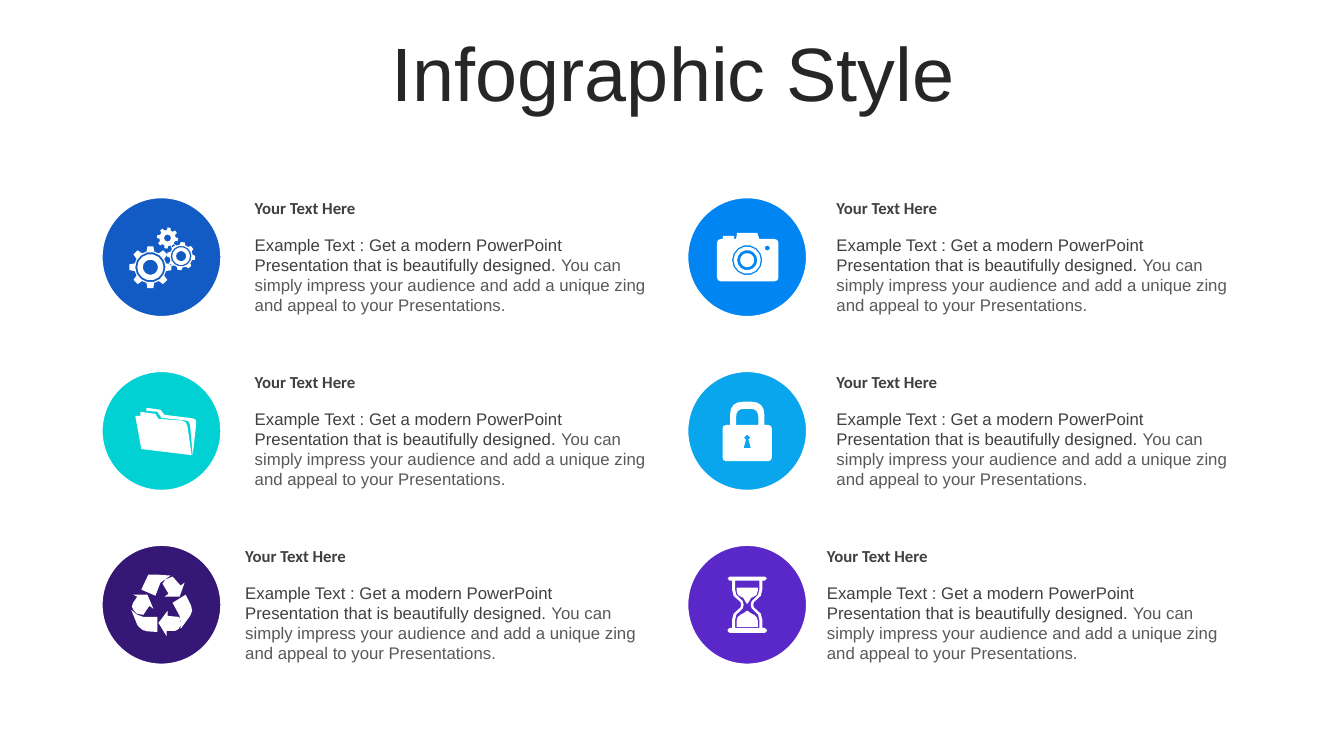
from math import cos, dist, pi, sin

from pptx import Presentation
from pptx import util as u
from pptx.dml.color import RGBColor
from pptx.enum import shapes, text

WHITE = RGBColor(0xFF, 0xFF, 0xFF)
INK = RGBColor(0x26, 0x26, 0x26)
DARK_GREY = RGBColor(0x40, 0x40, 0x40)
GREY = RGBColor(0x59, 0x59, 0x59)
BLUE = RGBColor(0x12, 0x5A, 0xC4)
AZURE = RGBColor(0x00, 0x85, 0xF2)
TURQUOISE = RGBColor(0x01, 0xD1, 0xD3)
SKY = RGBColor(0x0A, 0xA6, 0xED)
INDIGO = RGBColor(0x35, 0x18, 0x76)
VIOLET = RGBColor(0x5A, 0x28, 0xC8)

DISC = 3.0  # diameter in cm
ICON_UNIT = 0.0254  # cm; icon points are counted from the disc centre
FINE = 100  # steps per icon unit

HEADING = "Your Text Here"
LEAD = ("Example Text : Get a modern PowerPoint Presentation "
        "that is beautifully designed. ")
DETAIL = ("You can simply impress your audience and add a unique zing "
          "and appeal to your Presentations.")


def add_text(slide, box, runs, size=12, font="Arial", bold=False,
             align=text.PP_ALIGN.LEFT, anchor=text.MSO_ANCHOR.TOP,
             line_spacing=None, space_before=None):
    """Write one paragraph of (words, colour) runs into a box given in cm."""
    frame = slide.shapes.add_textbox(*map(u.Cm, box)).text_frame
    frame.word_wrap = True
    frame.vertical_anchor = anchor
    paragraph = frame.paragraphs[0]
    paragraph.alignment = align
    paragraph.line_spacing = line_spacing
    paragraph.space_before = space_before
    for words, colour in runs:
        run = paragraph.add_run()
        run.text = words
        run.font.size = u.Pt(size)
        run.font.name = font
        run.font.bold = bold
        run.font.color.rgb = colour


def ring(x, y, radius):
    """Return the points of a circle, fewer for a small one."""
    steps = 8 if radius < 5 else 14
    turns = [2 * pi * i / steps for i in range(steps)]
    return [(x + radius * cos(a), y + radius * sin(a)) for a in turns]


def rings(x, y, *radii):
    """Return concentric circles."""
    return [ring(x, y, radius) for radius in radii]


def cog(x, y, outer, inner, tilt=0.0, teeth=8):
    """Return the toothed outline of a gear."""
    profile = [(-0.24, inner), (-0.14, outer), (0.14, outer), (0.24, inner)]
    return [(x + r * cos(a + tilt), y + r * sin(a + tilt))
            for i in range(teeth)
            for a, r in [(2 * pi * i / teeth + d, r) for d, r in profile]]


def rounded(corners):
    """Return an outline whose (x, y, radius) corners are rounded off."""
    points = []
    for i, (x, y, *radius) in enumerate(corners):
        if not radius:
            points.append((x, y))
            continue
        ends = []
        for near in (corners[i - 1], corners[(i + 1) % len(corners)]):
            part = radius[0] / dist((x, y), near[:2])
            ends.append((x + (near[0] - x) * part, y + (near[1] - y) * part))
        (ax, ay), (bx, by) = ends
        steps = 1 if radius[0] < 3 else 2 if radius[0] < 8 else 4
        for t in (step / steps for step in range(steps + 1)):
            a, c, b = (1 - t) ** 2, 2 * t * (1 - t), t ** 2
            points.append((a * ax + c * x + b * bx, a * ay + c * y + b * by))
    return points


def mirrored(half):
    """Complete a right half, listed top to bottom, with its left half."""
    return rounded(half + [(-x, *rest) for x, *rest in reversed(half)])


GEARS = [
    cog(-11, 10, 21, 16), *rings(-11, 10, 15, 13, 7.5),
    cog(19.5, -1, 14, 11.5, 0.12), *rings(19.5, -1, 10.3, 8.8, 5),
    cog(6, -19, 10.5, 8, 0.15), ring(6, -19, 3.5),
]
CAMERA = [
    rounded([(-10, -24), (10, -24), (12, -18), (31, -18, 4), (31, 24, 4),
             (-30, 24, 4), (-30, -18, 4), (-24, -18), (-24, -21),
             (-13, -21), (-13, -18), (-11, -18)]),
    *rings(0, 3, 15, 13.5, 10, 7), ring(20, -9, 2.5),
]
FOLDER = [
    rounded([(-21, -19), (-6, -17), (-3, -12), (25, -10, 5), (30, 24),
             (-20, 18), (-26, -15), (-21, -15)]),
    rounded([(-15, -23), (-1, -21), (3, -16), (35, -12, 4), (31, 24),
             (28, -10, 4), (0, -13), (-4, -19), (-15, -20)]),
]
PADLOCK = [
    mirrored([(17, -29, 13), (17, -6), (24.5, -6, 4), (24.5, 30, 4)]),
    mirrored([(11, -22, 8), (11, -6)]),
    mirrored([(3, 4, 2.5), (3, 9, 2), (1.5, 9), (3.5, 17)]),
]
RECYCLING = [
    rounded([(6, 6), (6, 11), (17, 12), (19, 16), (18, 24, 3), (13, 26),
             (5, 26), (5, 31), (-3, 18)]),
    rounded([(-30, 5), (-24, 10), (-18, 12), (-4, 12), (-4, 27), (-19, 26, 5),
             (-24, 20)]),
    rounded([(24, -10), (32, 6, 6), (19, 24), (18, 11), (11, -2)]),
    rounded([(-28, -10), (-14, -10), (-8, 4), (-12, 1), (-18, 10),
             (-24, 9), (-31, 2, 5), (-24, -8)]),
    rounded([(11, -28), (19, -19), (23, -22), (18, -8), (3, -8), (7, -11),
             (1, -21), (4, -25)]),
    rounded([(-13, -30), (-5, -30), (9, -29), (-1, -22), (-6, -9),
             (-20, -15)]),
]
HOURGLASS = [
    mirrored([(19.5, -28, 2), (19.5, -24, 2), (15, -24), (15, -8, 7),
              (6, -3, 3), (6, 3, 3), (15, 8, 7), (15, 23), (19.5, 23, 2),
              (19.5, 28, 2)]),
    mirrored([(12, -24), (12, -9, 6), (3.5, -4, 4), (3.5, 4, 4), (12, 9, 6),
              (12, 23)]),
    mirrored([(10.5, -17), (10.5, -9, 5), (4, -7), (0.5, -1)]),
    mirrored([(0.5, 6), (3, 8), (10.5, 12, 4), (10.5, 22)]),
]


def draw_icon(slide, centre_x, centre_y, outlines):
    """Draw the outlines as one white shape around a centre given in cm."""
    builder = None
    for outline in outlines:
        start, *others = [(x * FINE, y * FINE) for x, y in outline]
        if builder is None:
            builder = slide.shapes.build_freeform(
                *start, scale=u.Cm(ICON_UNIT) / FINE)
        else:
            builder.move_to(*start)
        builder.add_line_segments(others, close=True)
    icon = builder.convert_to_shape(u.Cm(centre_x), u.Cm(centre_y))
    icon.shadow.inherit = False
    icon.fill.solid()
    icon.fill.fore_color.rgb = WHITE
    icon.line.fill.background()


def draw_feature(slide, left, top, text_gap, colour, outlines):
    """Place a disc with its icon, and the heading and body to its right."""
    disc = slide.shapes.add_shape(
        shapes.MSO_SHAPE.OVAL, *map(u.Cm, (left, top, DISC, DISC)))
    disc.shadow.inherit = False
    disc.fill.solid()
    disc.fill.fore_color.rgb = colour
    disc.line.color.rgb = WHITE
    disc.line.width = u.Pt(1)
    draw_icon(slide, left + DISC / 2, top + DISC / 2, outlines)
    text_left = left + DISC + text_gap
    add_text(slide, (text_left, top - 0.12, 10.6, 0.77),
             [(HEADING, DARK_GREY)], font="Calibri", bold=True)
    add_text(slide, (text_left, top + 0.81, 10.6, 2.31),
             [(LEAD, DARK_GREY), (DETAIL, GREY)])


def draw_features(slide, left, top):
    """Lay the features out in two columns and three rows."""
    features = [(BLUE, GEARS), (AZURE, CAMERA), (TURQUOISE, FOLDER),
                (SKY, PADLOCK), (INDIGO, RECYCLING), (VIOLET, HOURGLASS)]
    for i, (colour, outlines) in enumerate(features):
        row, column = divmod(i, 2)
        text_gap = (0.6, 0.5)[column] - (0.24 if row == 2 else 0)
        draw_feature(slide, left + column * 14.76, top + row * 4.38,
                     text_gap, colour, outlines)


def build():
    """Build and save the slide."""
    deck = Presentation()
    deck.slide_width, deck.slide_height = u.Cm(33.87), u.Cm(19.05)
    slide = deck.slides.add_slide(deck.slide_layouts[6])
    add_text(slide, (0.89, 0.94, 32.16, 2.01), [("Infographic Style", INK)],
             size=54, align=text.PP_ALIGN.CENTER,
             anchor=text.MSO_ANCHOR.MIDDLE, line_spacing=0.9,
             space_before=u.Pt(10))
    draw_features(slide, 2.57, 4.98)
    deck.save("out.pptx")


build()
